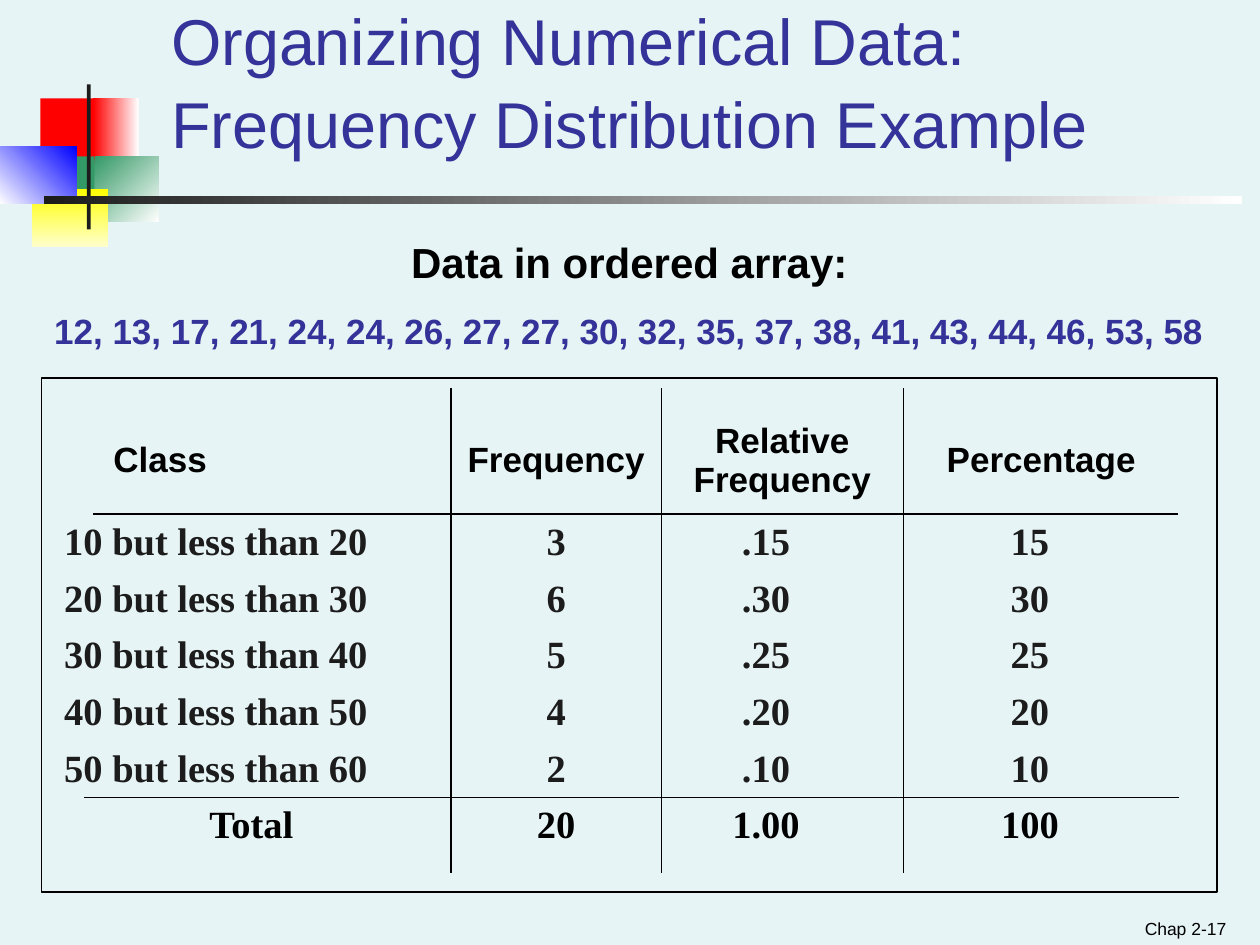
import pptx
import pptx.dml.color
import pptx.enum.shapes
import pptx.enum.text
import pptx.oxml.ns
import pptx.util
from lxml import etree

Inches = pptx.util.Inches
Pt = pptx.util.Pt
RGBColor = pptx.dml.color.RGBColor
Align = pptx.enum.text.PP_ALIGN
Anchor = pptx.enum.text.MSO_ANCHOR
RECTANGLE = pptx.enum.shapes.MSO_SHAPE.RECTANGLE
STRAIGHT = pptx.enum.shapes.MSO_CONNECTOR.STRAIGHT
qn = pptx.oxml.ns.qn

BLACK = RGBColor(0x00, 0x00, 0x00)
WHITE = RGBColor(0xFF, 0xFF, 0xFF)
CHARCOAL = RGBColor(0x1C, 0x1C, 0x1C)
INDIGO = RGBColor(0x33, 0x33, 0x99)
PALE_BLUE = RGBColor(0xE7, 0xF4, 0xF5)
RED = RGBColor(0xFF, 0x00, 0x00)
GREEN = RGBColor(0x33, 0x99, 0x66)
BLUE = RGBColor(0x00, 0x00, 0xFF)
YELLOW = RGBColor(0xFF, 0xFF, 0x00)
CREAM = RGBColor(0xFF, 0xFF, 0xCC)

PLAIN_TABLE_STYLE = "{2D5ABB26-0587-4C30-8999-92F81FD0307C}"

# left, top, width, height, start colour, end colour, clockwise angle
ORNAMENT = [
    (0.32, 0.11, 0.48, 0.52, RED, None, 0),
    (0.74, 0.11, 0.36, 0.52, RED, WHITE, 0),
    (0.75, 0.57, 0.51, 0.52, GREEN, WHITE, 45),
    (0.43, 0.57, 0.32, 0.52, GREEN, None, 0),
    (0.25, 0.83, 0.61, 0.46, YELLOW, CREAM, 90),
    (0, 0.49, 0.61, 0.46, WHITE, BLUE, 315),
    (0.69, 0, 0.03, 1.15, CHARCOAL, None, 0),
    (0.35, 0.89, 9.51, 0.06, CHARCOAL, WHITE, 0),
]

HEADERS = ["Class", "Frequency", "Relative\nFrequency", "Percentage"]
ROWS = [
    ["10 but less than 20", "3", ".15", "15"],
    ["20 but less than 30", "6", ".30", "30"],
    ["30 but less than 40", "5", ".25", "25"],
    ["40 but less than 50", "4", ".20", "20"],
    ["50 but less than 60", "2", ".10", "10"],
    ["Total", "20", "1.00", "100"],
]
COLUMN_WIDTHS = [3.17, 1.67, 1.92, 2.19]
VALUE_RIGHT_MARGINS = [0, 0, 0.26, 0.18]
HEADER_HEIGHT, ROW_HEIGHT = 1, 0.45


def format_font(font, size, color, name="Arial", bold=False):
    font.color.rgb = color
    for key, value in {"size": Pt(size), "name": name, "bold": bold}.items():
        setattr(font, key, value)


def add_ornament(s, left, top):
    group = s.shapes.add_group_shape()
    for x, y, w, h, start, end, angle in ORNAMENT:
        sp = group.shapes.add_shape(RECTANGLE, Inches(left + x), Inches(top + y),
                                    Inches(w), Inches(h))
        sp.shadow.inherit = False
        sp.line.fill.background()
        if end is None:
            sp.fill.solid()
            sp.fill.fore_color.rgb = start
            continue
        sp.fill.gradient()
        sp.fill.gradient_angle = (360 - angle) % 360
        for stop, color, position in zip(sp.fill.gradient_stops, (start, end), (0, 1)):
            stop.color.rgb = color
            stop.position = position


def set_title(s, left, top, width, height):
    sp = s.shapes.title
    sp.left, sp.top, sp.width, sp.height = map(Inches, (left, top, width, height))
    tf = sp.text_frame
    tf.text = "Organizing Numerical Data:\vFrequency Distribution Example"
    tf.auto_size = pptx.enum.text.MSO_AUTO_SIZE.NONE
    tf.vertical_anchor = Anchor.BOTTOM
    p = tf.paragraphs[0]
    p.alignment = Align.LEFT
    p.line_spacing = 1.06
    for r in p.runs:
        format_font(r.font, 37, INDIGO)


def add_text(s, left, top, width, height, lines, align, anchor=Anchor.TOP):
    """Add a text box; each line is text, size, colour, bold, space before."""
    sp = s.shapes.add_textbox(Inches(left), Inches(top), Inches(width), Inches(height))
    tf = sp.text_frame
    tf.word_wrap = True
    tf.vertical_anchor = anchor
    for i, (text, size, color, bold, before) in enumerate(lines):
        p = tf.add_paragraph() if i else tf.paragraphs[0]
        p.text = text
        p.alignment = align
        p.space_before = Pt(before)
        format_font(p.font, size, color, bold=bold)


def add_rule(s, x1, y1, x2, y2):
    line = s.shapes.add_connector(STRAIGHT, Inches(x1), Inches(y1), Inches(x2), Inches(y2))
    line.line.color.rgb = BLACK
    line.line.width = Pt(1)
    etree.SubElement(line._element.spPr, qn("a:effectLst"))


def fill_cell(cell, row, col, text):
    header, total = row == 0, row == len(ROWS)
    cell.text = text
    cell.fill.background()
    cell.vertical_anchor = Anchor.MIDDLE
    left = (0.49 if header else 0.1) if col == 0 and not total else 0
    margins = {
        "margin_left": left,
        "margin_right": 0 if header else VALUE_RIGHT_MARGINS[col],
        "margin_top": 0.15 if header else 0,
        "margin_bottom": 0,
    }
    for key, value in margins.items():
        setattr(cell, key, Inches(value))
    for p in cell.text_frame.paragraphs:
        p.alignment = Align.LEFT if left else Align.CENTER
        if header:
            format_font(p.font, 20, BLACK, bold=True)
        else:
            format_font(p.font, 22, BLACK if total else CHARCOAL, "Times New Roman", True)


def add_frequency_table(s, left, top, width, height):
    frame = s.shapes.add_shape(RECTANGLE, Inches(left), Inches(top),
                               Inches(width), Inches(height))
    frame.shadow.inherit = False
    frame.fill.background()
    frame.line.color.rgb = BLACK
    frame.line.width = Pt(1)

    x, y = left + 0.08, top + 0.08
    cells = [HEADERS] + ROWS
    shape = s.shapes.add_table(len(cells), len(HEADERS), Inches(x), Inches(y),
                               Inches(sum(COLUMN_WIDTHS)),
                               Inches(HEADER_HEIGHT + ROW_HEIGHT * len(ROWS)))
    table = shape.table
    table.first_row = table.horz_banding = False
    table._tbl.tblPr.find(qn("a:tableStyleId")).text = PLAIN_TABLE_STYLE
    for column, column_width in zip(table.columns, COLUMN_WIDTHS):
        column.width = Inches(column_width)
    for i, texts in enumerate(cells):
        table.rows[i].height = Inches(ROW_HEIGHT if i else HEADER_HEIGHT)
        for j, text in enumerate(texts):
            fill_cell(table.cell(i, j), i, j, text)

    for j in range(1, len(HEADERS)):
        rule_x = x + sum(COLUMN_WIDTHS[:j])
        add_rule(s, rule_x, y, rule_x, top + height - 0.15)
    header_bottom = y + HEADER_HEIGHT
    total_top = header_bottom + ROW_HEIGHT * (len(ROWS) - 1)
    add_rule(s, left + 0.41, header_bottom, left + 9.02, header_bottom)
    add_rule(s, left + 0.34, total_top, left + 9.03, total_top)


def main():
    prs = pptx.Presentation()
    prs.slide_width, prs.slide_height = Inches(10), Inches(7.5)
    s = prs.slides.add_slide(prs.slide_layouts[5])
    s.background.fill.solid()
    s.background.fill.fore_color.rgb = PALE_BLUE
    add_ornament(s, 0, 0.67)
    set_title(s, 1.26, 0.25, 8.07, 1.08)
    add_text(s, 0.33, 1.83, 9.33, 1, [
        ("Data in ordered array:", 24, BLACK, True, 0),
        ("12, 13, 17, 21, 24, 24, 26, 27, 27, 30, 32, 35, 37, 38, 41, 43, 44, 46, 53, 58",
         20, INDIGO, True, 12.5),
    ], Align.CENTER)
    add_frequency_table(s, 0.33, 3, 9.33, 4.08)
    add_text(s, 7.5, 7.15, 2.33, 0.35, [("Chap 2-17", 10, BLACK, False, 0)],
             Align.RIGHT, Anchor.BOTTOM)
    prs.save("out.pptx")


if __name__ == "__main__":
    main()
